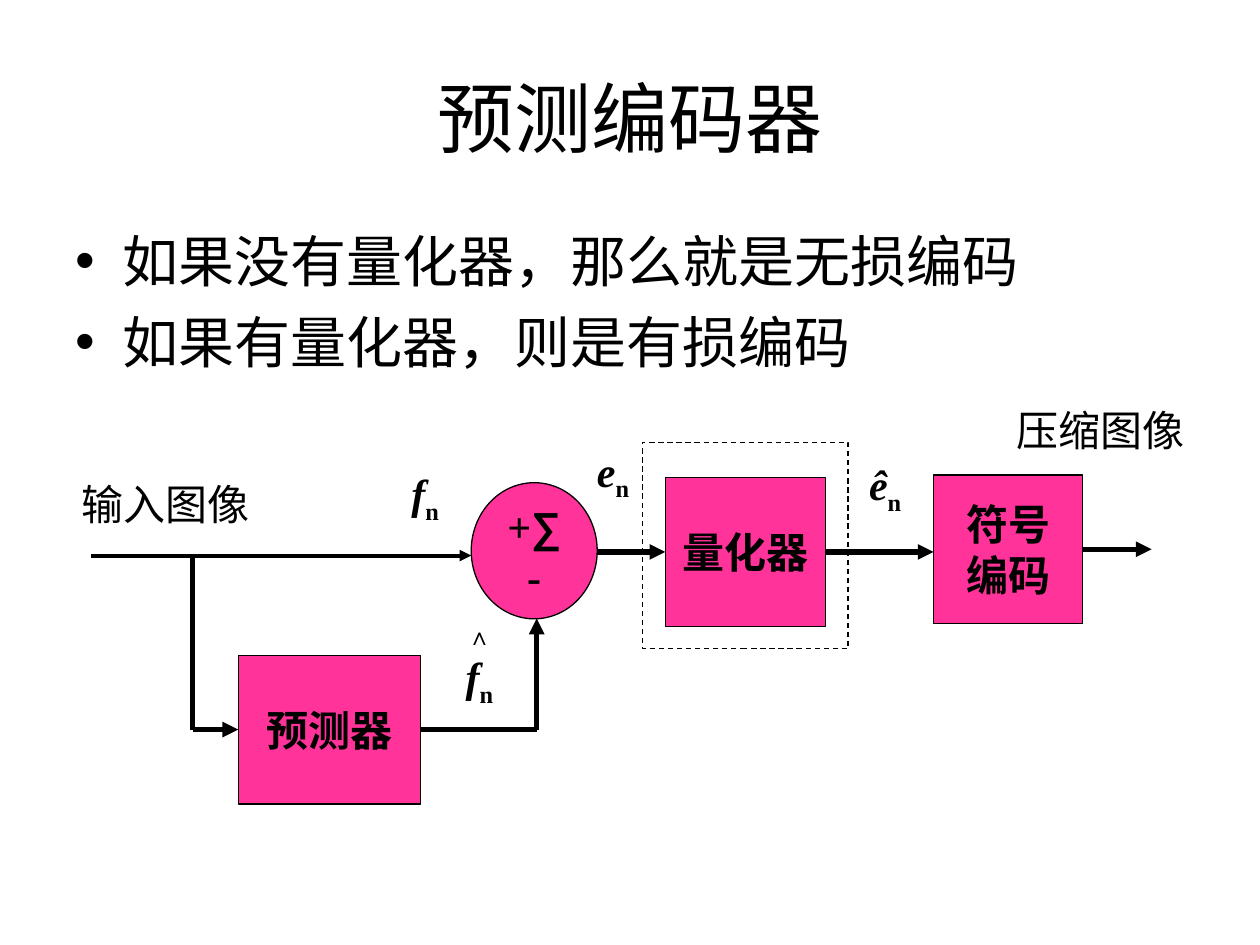
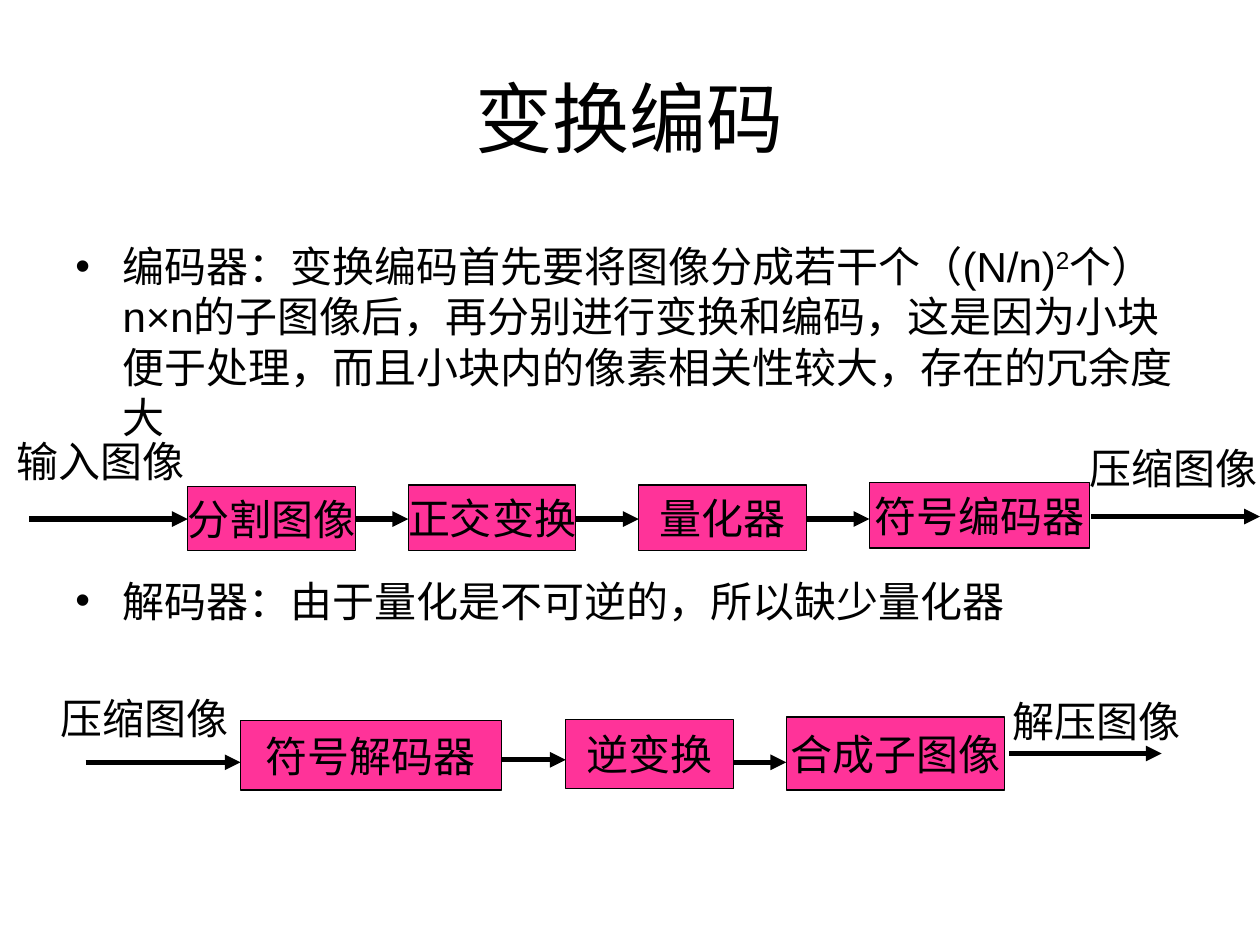
from lxml import etree
from pptx import Presentation
from pptx.dml.color import RGBColor
from pptx.enum.dml import MSO_LINE
from pptx.enum.shapes import MSO_CONNECTOR, MSO_SHAPE
from pptx.enum.text import MSO_ANCHOR, PP_ALIGN
from pptx.oxml.ns import qn
from pptx.util import Pt

RECT, OVAL = MSO_SHAPE.RECTANGLE, MSO_SHAPE.OVAL
STRAIGHT, DASH = MSO_CONNECTOR.STRAIGHT, MSO_LINE.DASH
TOP, MIDDLE = MSO_ANCHOR.TOP, MSO_ANCHOR.MIDDLE
CENTER, LEFT = PP_ALIGN.CENTER, PP_ALIGN.LEFT

COLORS = {"ink": "000000", "block": "FF3399"}
SANS, SERIF, CJK = "Arial", "Times New Roman", "Noto Sans CJK SC"
LINE_HEIGHT = 1.2
BULLET_INDENT = 27
SYMBOL_WIDTH = 44


def rgb(name):
    return RGBColor.from_string(COLORS[name])


def add_run(p, text, size=24, font=SERIF, ea=CJK, bold=False, italic=False, baseline=0):
    """Append a run; baseline is a percentage, negative for a subscript."""
    r = p.add_run()
    r.text = text
    r.font.size = Pt(size)
    r.font.name = font
    r.font.bold = bold
    r.font.italic = italic
    r.font.color.rgb = rgb("ink")
    rpr = r.font._element
    etree.SubElement(rpr, qn("a:ea")).set("typeface", ea)
    if baseline:
        rpr.set("baseline", str(baseline * 1000))


def set_frame(tf, wrap=False, anchor=MIDDLE):
    tf.word_wrap = wrap
    tf.vertical_anchor = anchor
    tf.margin_left = tf.margin_right = Pt(7.2)
    tf.margin_top = tf.margin_bottom = Pt(3.6)


def add_paragraph(tf, first, runs, align=CENTER, leading=None, before=0):
    """Write one paragraph from (text, format) pairs."""
    p = tf.paragraphs[0] if first else tf.add_paragraph()
    p.alignment = align
    if leading:
        p.line_spacing = Pt(leading)
    if before and not first:
        p.space_before = Pt(before)
    for text, fmt in runs:
        add_run(p, text, **fmt)
    return p


def add_lines(tf, lines, **fmt):
    leading = fmt.get("size", 24) * LINE_HEIGHT
    for i, line in enumerate(lines):
        add_paragraph(tf, i == 0, [(line, fmt)], leading=leading)


def text_box(s, x, y, w, h, wrap=False, anchor=MIDDLE):
    tf = s.shapes.add_textbox(Pt(x), Pt(y), Pt(w), Pt(h)).text_frame
    set_frame(tf, wrap, anchor)
    return tf


def add_title(s, text):
    tf = text_box(s, 36, 21.6, 648, 90, wrap=True)
    add_lines(tf, [text], size=44, font=SANS)


def add_bullets(s, y, size, items):
    """Bulleted body; items are (space before, runs)."""
    tf = text_box(s, 36, y, 648, 356.4, wrap=True, anchor=TOP)
    for i, (before, runs) in enumerate(items):
        styled = [(t, {"size": size, "font": SANS, **fmt}) for t, fmt in runs]
        p = add_paragraph(tf, i == 0, styled, LEFT, size * LINE_HEIGHT, before)
        ppr = p._p.get_or_add_pPr()
        ppr.set("marL", str(Pt(BULLET_INDENT)))
        ppr.set("indent", str(-Pt(BULLET_INDENT)))
        etree.SubElement(ppr, qn("a:buFont")).set("typeface", SANS)
        etree.SubElement(ppr, qn("a:buChar")).set("char", "•")


def add_label(s, text, x, y, w=110.2, font=CJK):
    add_lines(text_box(s, x, y, w, 36), [text], font=font)


def add_symbol(s, letter, center_x, y, h=40.3, hat=None):
    """Italic letter with subscript n and, if given, a hat on a line above."""
    tf = text_box(s, center_x - SYMBOL_WIDTH / 2, y, SYMBOL_WIDTH, h)
    if hat:
        hat_format = {"font": SANS, "ea": SANS, "bold": True, "baseline": -25}
        add_paragraph(tf, True, [(hat, hat_format)])
    add_paragraph(tf, not hat, [
        (letter, {"ea": SERIF, "bold": True, "italic": True}),
        ("n", {"ea": SERIF, "bold": True, "baseline": -25}),
    ])


def add_block(s, x, y, w, h, lines=(), kind=RECT, fill="block", dash=None, **fmt):
    sp = s.shapes.add_shape(kind, Pt(x), Pt(y), Pt(w), Pt(h))
    sp.shadow.inherit = False
    if fill:
        sp.fill.solid()
        sp.fill.fore_color.rgb = rgb(fill)
    else:
        sp.fill.background()
    sp.line.color.rgb = rgb("ink")
    sp.line.width = Pt(0.75)
    if dash:
        sp.line.dash_style = dash
    set_frame(sp.text_frame)
    add_lines(sp.text_frame, lines, **fmt)
    return sp


def add_line(s, x1, y1, x2, y2, width=3, arrow=True):
    c = s.shapes.add_connector(STRAIGHT, Pt(x1), Pt(y1), Pt(x2), Pt(y2))
    c.line.color.rgb = rgb("ink")
    c.line.width = Pt(width)
    if arrow:
        etree.SubElement(c.line._get_or_add_ln(), qn("a:tailEnd")).set("type", "triangle")
    etree.SubElement(c._element.spPr, qn("a:effectLst"))


def add_summation(s, x, y, w, h):
    tf = add_block(s, x, y, w, h, kind=OVAL).text_frame
    add_paragraph(tf, True, [
        ("+", {"ea": SERIF, "bold": True}),
        ("∑", {"font": SANS, "ea": SANS, "bold": True}),
    ])
    add_paragraph(tf, False, [("-", {"ea": SERIF, "bold": True})])


def add_chain(s, entry_x, blocks, arrow_ys, exit_line):
    """Row of blocks, each entered by an arrow from the one before it."""
    x_from = entry_x
    for (text, x, y, w, h), arrow_y in zip(blocks, arrow_ys):
        add_block(s, x, y, w, h, [text], font=CJK)
        add_line(s, x_from, arrow_y, x, arrow_y)
        x_from = x + w
    x1, x2, y = exit_line
    add_line(s, x1, y, x2, y)


def predictive_slide(s):
    add_title(s, "预测编码器")
    add_bullets(s, 126, 32, [
        (0, [("如果没有量化器，那么就是无损编码", {})]),
        (8, [("如果有量化器，则是有损编码", {})]),
    ])

    branch_x, sum_x, main_y, feedback_y = 110.2, 306.7, 315.4, 416.9
    add_line(s, 51.8, 317.5, 269.3, 317.5, width=2.25)
    add_line(s, 195, feedback_y, sum_x, feedback_y, arrow=False)
    add_line(s, sum_x, feedback_y, sum_x, 353.5)
    add_line(s, branch_x, 316.8, branch_x, feedback_y, arrow=False)
    add_line(s, branch_x, feedback_y, 136.1, feedback_y)
    add_line(s, 341.3, main_y, 380.2, main_y)
    add_line(s, 471.6, main_y, 533.5, main_y)
    add_line(s, 618.5, 313.9, 658.1, 313.9)

    add_summation(s, 269.3, 275.8, 72, 77.8)
    add_block(s, 380.2, 272.9, 91.4, 85, ["量化器"], bold=True)
    add_block(s, 533.5, 271.4, 85, 85, ["符号", "编码"], bold=True)
    add_block(s, 136.1, 374.4, 104.4, 85, ["预测器"], bold=True)
    add_block(s, 367.2, 252.7, 117.4, 118, fill=None, dash=DASH)

    add_label(s, "压缩图像", 573.8, 227.5, font=SERIF)
    add_label(s, "输入图像", 39.6, 270, font=SERIF)
    add_symbol(s, "e", 350.3, 250.6)
    add_symbol(s, "f", 243, 263.5)
    add_symbol(s, "f", 274, 335.5, h=72.7, hat="∧")
    add_symbol(s, "ê", 505.8, 258.5)


def transform_slide(s):
    add_title(s, "变换编码")
    add_bullets(s, 133.9, 24, [
        (0, [
            ("编码器：变换编码首先要将图像分成若干个（(N/n)", {}),
            ("2", {"baseline": 30}),
            ("个）n×n的子图像后，再分别进行变换和编码，这是因为小块便于处理，"
             "而且小块内的像素相关性较大，存在的冗余度大", {}),
        ]),
        (76, [("解码器：由于量化是不可逆的，所以缺少量化器", {})]),
    ])

    encoder = [
        ("分割图像", 107.3, 277.9, 95.8, 36.7),
        ("正交变换", 233.3, 277.2, 95.8, 37.4),
        ("量化器", 365, 277.2, 95.8, 37.4),
        ("符号编码器", 496.8, 275.8, 126, 37.4),
    ]
    add_chain(s, 16.6, encoder, [296.6] * 4, (623.5, 720, 295.2))
    add_label(s, "输入图像", 0, 245.5, 114.5)
    add_label(s, "压缩图像", 612.7, 249.1, 115.9)

    decoder = [
        ("符号解码器", 137.5, 411.8, 149, 39.6),
        ("逆变换", 323.3, 411.1, 95.8, 39.6),
        ("合成子图像", 449.3, 409.7, 124.6, 41.8),
    ]
    add_chain(s, 49, decoder, [435.6, 434.2, 435.6], (576.7, 663.8, 430.6))
    add_label(s, "压缩图像", 27.4, 392.4)
    add_label(s, "解压图像", 571.7, 393.8)


def main():
    prs = Presentation()
    prs.slide_width, prs.slide_height = Pt(720), Pt(540)
    blank = prs.slide_layouts[6]
    for build in (predictive_slide, transform_slide):
        build(prs.slides.add_slide(blank))
    prs.save("out.pptx")


if __name__ == "__main__":
    main()
